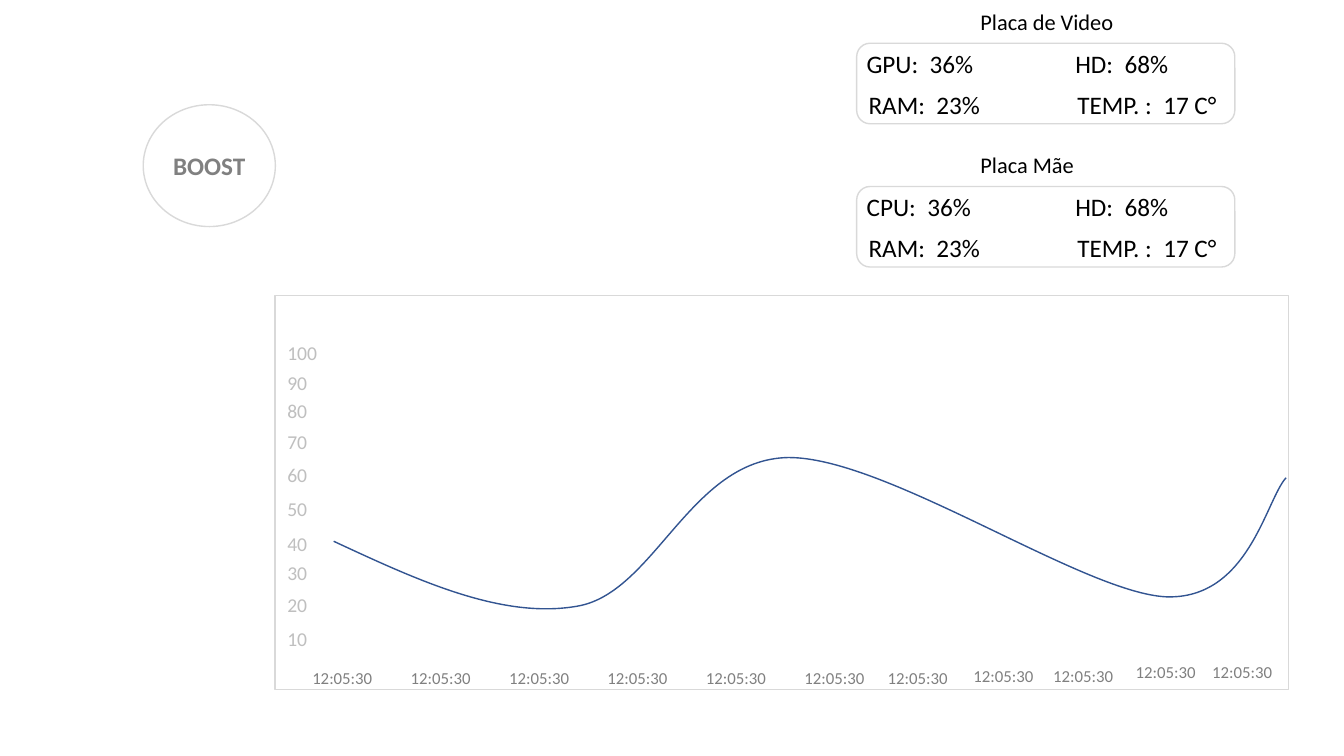
from dataclasses import dataclass

from lxml import etree
from pptx import Presentation
from pptx import util as u
from pptx.dml.color import RGBColor
from pptx.enum import shapes, text

FONT = "Calibri"
BLACK, GRAY, PALE = "000000", "808080", "BFBFBF"
WHITE, EDGE, BLUE = "FFFFFF", "D9D9D9", "325491"


@dataclass
class Label:
    """A line of text, placed in centimetres."""
    words: str
    left: float
    top: float
    width: float
    size: int
    color: str = BLACK


@dataclass
class Panel:
    """A board's readings, with the top of its frame in centimetres."""
    name: str
    width: float
    top: float
    chip: str
    span: float


def paint(hue: str) -> RGBColor:
    """Turn a hex string into a colour."""
    return RGBColor.from_string(hue)


def style(frame, size: int, hue: str, bold: bool = False) -> None:
    """Format every run of a text frame."""
    for para in frame.paragraphs:
        for run in para.runs:
            run.font.name = FONT
            run.font.size = u.Pt(size)
            run.font.bold = bold
            run.font.color.rgb = paint(hue)


def write(slide, label: Label) -> None:
    """Add a label that keeps to one line."""
    height = label.size * 0.0423 + 0.27
    box = slide.shapes.add_textbox(u.Cm(label.left), u.Cm(label.top),
                                   u.Cm(label.width), u.Cm(height))
    frame = box.text_frame
    frame.text = label.words
    frame.word_wrap = False
    frame.auto_size = text.MSO_AUTO_SIZE.SHAPE_TO_FIT_TEXT
    style(frame, label.size, label.color)


def draw(slide, kind, left: float, top: float, width: float, height: float):
    """Add a white shape with a thin pale edge."""
    shape = slide.shapes.add_shape(kind, u.Cm(left), u.Cm(top),
                                   u.Cm(width), u.Cm(height))
    shape.shadow.inherit = False
    shape.fill.solid()
    shape.fill.fore_color.rgb = paint(WHITE)
    shape.line.color.rgb = paint(EDGE)
    shape.line.width = u.Pt(1)
    return shape


def board(slide, panel: Panel) -> None:
    """Add a board's frame, heading and four readings."""
    left, top, right = 21.59, panel.top, 26.85
    low = top + 1.03
    draw(slide, shapes.MSO_SHAPE.ROUNDED_RECTANGLE, left, top, 9.53, 2.03)
    for label in (
        Label(panel.name, 24.46, top - 1.02, panel.width, 16),
        Label(f"{panel.chip}:  36%", left, top, panel.span, 18),
        Label("RAM:  23%", left + 0.05, low, 3.35, 18),
        Label("HD:  68%", right, top, 2.9, 18),
        Label("TEMP. :  17 C°", right + 0.05, low, 4.05, 18),
    ):
        write(slide, label)


def curve(slide, knots: list[tuple[float, float]]) -> None:
    """Draw joined cubic curves: a start, then three points for each."""
    spots = [(u.Cm(x), u.Cm(y)) for x, y in knots]
    pen = slide.shapes.build_freeform(*spots[0])
    pen.add_line_segments(spots[1:], close=False)
    shape = pen.convert_to_shape()
    shape.shadow.inherit = False
    shape.fill.background()
    shape.line.color.rgb = paint(BLUE)
    shape.line.width = u.Pt(1)
    space = "{http://schemas.openxmlformats.org/drawingml/2006/main}"
    steps = list(shape.element.iter(space + "lnTo"))
    track = steps[0].getparent()
    for first in range(0, len(steps), 3):
        bend = etree.SubElement(track, space + "cubicBezTo")
        for step in steps[first:first + 3]:
            bend.append(step[0])
            track.remove(step)


PANELS = [Panel("Placa Mãe", 2.9, 4.7, "CPU", 3.18),
          Panel("Placa de Video", 3.89, 1.09, "GPU", 3.23)]
SCALE = [8.46, 9.22, 9.93, 10.72, 11.53, 12.4, 13.28, 14.02, 14.81, 15.67]
TIMES = [(7.62 + 2.48 * n, 16.71) for n in range(6)] + [
    (22.12, 16.69), (24.28, 16.64), (26.29, 16.64),
    (28.37, 16.56), (30.3, 16.56)]
LOAD = [(8.41, 13.64),
        (10.54, 14.63), (12.67, 15.62), (14.58, 15.27),
        (16.51, 14.91), (17.4, 11.58), (19.86, 11.53),
        (22.33, 11.51), (27.28, 14.94), (29.39, 15.04),
        (31.47, 15.11), (31.9, 12.6), (32.41, 12.04)]

deck = Presentation()
deck.slide_width, deck.slide_height = u.Cm(33.87), u.Cm(19.05)
slide = deck.slides.add_slide(deck.slide_layouts[6])

for panel in PANELS:
    board(slide, panel)

draw(slide, shapes.MSO_SHAPE.RECTANGLE, 6.93, 7.44, 25.55, 9.93)
for n, top in enumerate(SCALE):
    mark = 100 - 10 * n
    write(slide, Label(str(mark), 6.99, top, 1.27 if mark == 100 else 1.02,
                       14, PALE))
curve(slide, LOAD)
for left, top in TIMES:
    write(slide, Label("12:05:30", left, top, 2.06, 12, GRAY))

boost = draw(slide, shapes.MSO_SHAPE.OVAL, 3.61, 2.64, 3.33, 3.07)
boost.text_frame.text = "BOOST"
boost.text_frame.vertical_anchor = text.MSO_ANCHOR.MIDDLE
boost.text_frame.paragraphs[0].alignment = text.PP_ALIGN.CENTER
style(boost.text_frame, 18, GRAY, bold=True)

deck.save("out.pptx")
